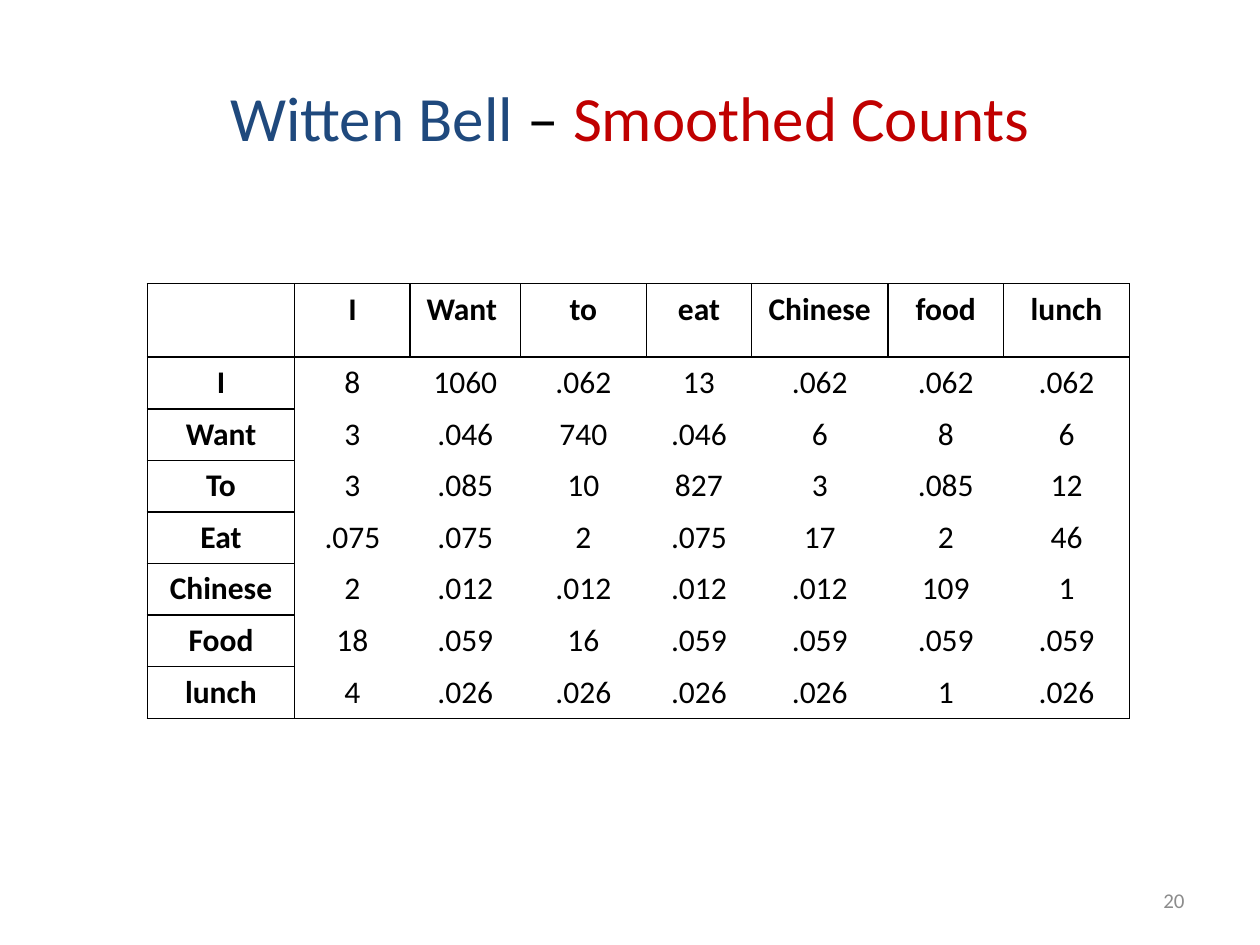
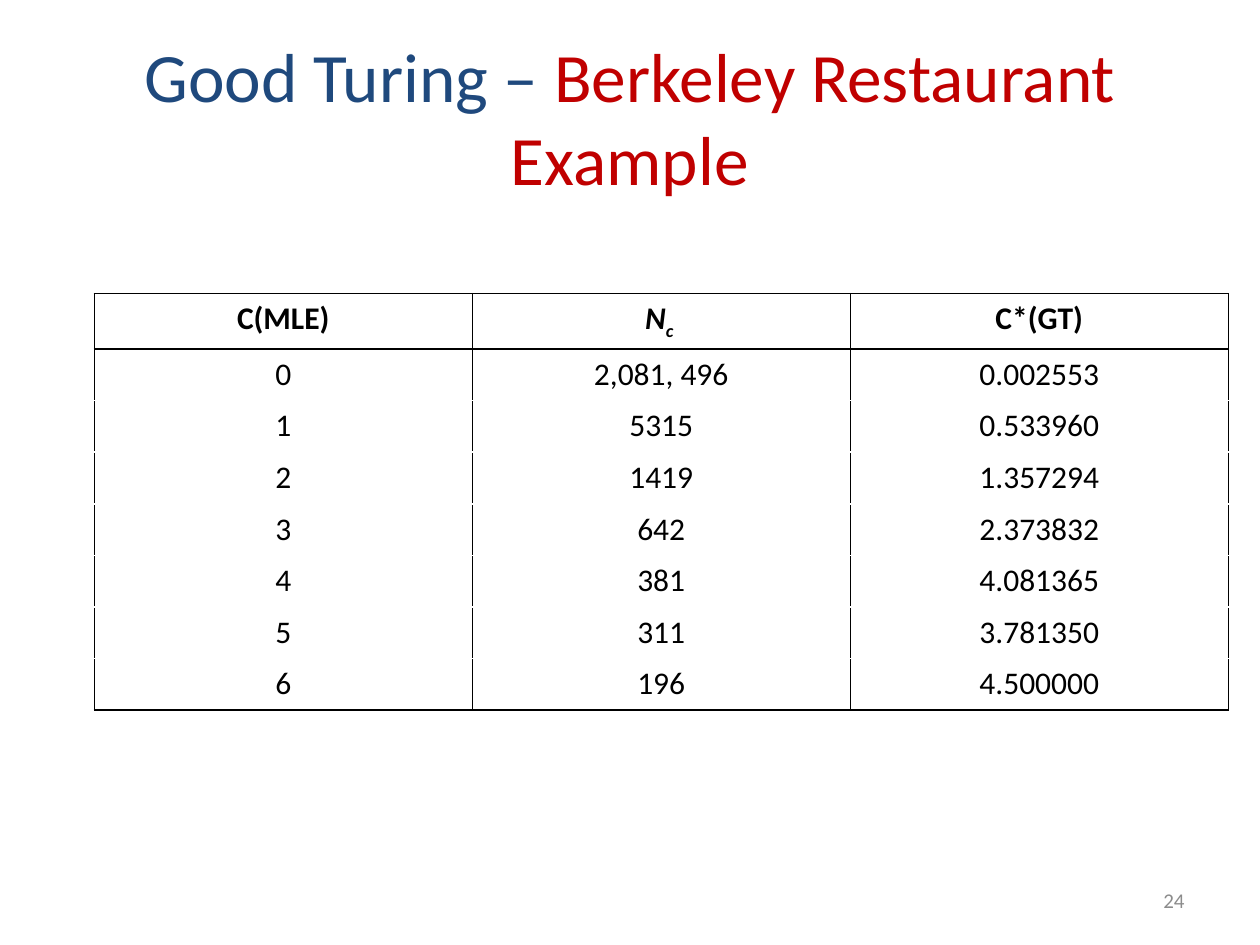
from lxml import etree
from pptx import Presentation
from pptx import util as u
from pptx.dml.color import RGBColor
from pptx.enum import text
from pptx.oxml import ns

BLACK = RGBColor(0x00, 0x00, 0x00)
WHITE = RGBColor(0xFF, 0xFF, 0xFF)
NAVY = RGBColor(0x1F, 0x49, 0x7D)
RED = RGBColor(0xC0, 0x00, 0x00)
GREY = RGBColor(0x8C, 0x8C, 0x8C)
FONT = "Calibri"
ROW_HEIGHT = 1.04

SLIDES = [
    {
        "title": [("Witten Bell ", NAVY), ("– ", BLACK), ("Smoothed Counts", RED)],
        "title_size": 36,
        "number": "20",
        "left": 2.97,
        "top": 5.72,
        "widths": [2.97, 2.33, 2.22, 2.54, 2.12, 2.75, 2.33, 2.54],
        "header_height": 1.48,
        "label_columns": 1,
        "column_lines": None,
        "row_lines": None,
        "rows": [
            ["", "I", "Want ", "to", "eat", "Chinese", "food", "lunch"],
            ["I", "8", "1060", ".062", "13", ".062", ".062", ".062"],
            ["Want", "3", ".046", "740", ".046", "6", "8", "6"],
            ["To", "3", ".085", "10", "827", "3", ".085", "12"],
            ["Eat", ".075", ".075", "2", ".075", "17", "2", "46"],
            ["Chinese", "2", ".012", ".012", ".012", ".012", "109", "1"],
            ["Food", "18", ".059", "16", ".059", ".059", ".059", ".059"],
            ["lunch", "4", ".026", ".026", ".026", ".026", "1", ".026"],
        ],
    },
    {
        "title": [("Good Turing – ", NAVY), ("Berkeley Restaurant Example", RED)],
        "title_size": 39.6,
        "number": "24",
        "left": 1.9,
        "top": 5.92,
        "widths": [7.62] * 3,
        "header_height": ROW_HEIGHT,
        "label_columns": 0,
        "column_lines": BLACK,
        "row_lines": WHITE,
        "rows": [
            ["C(MLE)", ("N", "c "), "C*(GT)"],
            ["0", "2,081, 496", "0.002553"],
            ["1", "5315", "0.533960"],
            ["2", "1419", "1.357294"],
            ["3", "642", "2.373832"],
            ["4", "381", "4.081365"],
            ["5", "311", "3.781350"],
            ["6", "196", "4.500000"],
        ],
    },
]


def place(sp, left, top, width, height):
    sp.left, sp.top, sp.width, sp.height = map(u.Cm, (left, top, width, height))


def style(p, size, color, align, bold=False):
    p.alignment = align
    p.font.name, p.font.size, p.font.bold = FONT, u.Pt(size), bold
    p.font.color.rgb = color


def add_title(s, parts, size):
    sp = s.shapes.title
    place(sp, 1.27, 0.76, 22.86, 3.18)
    tf = sp.text_frame
    tf.word_wrap = True
    tf.auto_size = text.MSO_AUTO_SIZE.NONE
    tf.vertical_anchor = text.MSO_ANCHOR.MIDDLE
    p = tf.paragraphs[0]
    style(p, size, BLACK, text.PP_ALIGN.CENTER)
    for words, color in parts:
        r = p.add_run()
        r.text = words
        r.font.color.rgb = color


def add_number(s, number):
    sp = s.shapes.add_textbox(u.Cm(18.2), u.Cm(17.65), u.Cm(5.93), u.Cm(1.01))
    tf = sp.text_frame
    tf.word_wrap = True
    tf.vertical_anchor = text.MSO_ANCHOR.MIDDLE
    tf.text = number
    style(tf.paragraphs[0], 12, GREY, text.PP_ALIGN.RIGHT)


def set_borders(cell, colors):
    tc_pr = cell._tc.get_or_add_tcPr()
    for side, color in zip("LRTB", colors):
        ln = etree.SubElement(tc_pr, ns.qn("a:ln" + side), w=str(u.Pt(1)))
        if color is None:
            etree.SubElement(ln, ns.qn("a:noFill"))
        else:
            fill = etree.SubElement(ln, ns.qn("a:solidFill"))
            etree.SubElement(fill, ns.qn("a:srgbClr"), val=str(color))


def fill_cell(cell, content, bold):
    p = cell.text_frame.paragraphs[0]
    style(p, 18, BLACK, text.PP_ALIGN.CENTER, bold)
    if isinstance(content, tuple):
        for words in content:
            r = p.add_run()
            r.text = words
            r.font.italic = True
        r.font._element.set("baseline", "-25000")
    elif content:
        p.add_run().text = content


def add_grid(s, data):
    rows, widths, labels = data["rows"], data["widths"], data["label_columns"]
    heights = [data["header_height"]] + [ROW_HEIGHT] * (len(rows) - 1)
    box = map(u.Cm, (data["left"], data["top"], sum(widths), sum(heights)))
    table = s.shapes.add_table(len(rows), len(widths), *box).table
    table.first_row = table.horz_banding = False
    for column, width in zip(table.columns, widths):
        column.width = u.Cm(width)
    for row, height in zip(table.rows, heights):
        row.height = u.Cm(height)
    last_row, last_column = len(rows) - 1, len(widths) - 1
    inner_column, inner_row = data["column_lines"], data["row_lines"]
    for i, row in enumerate(rows):
        for j, content in enumerate(row):
            cell = table.cell(i, j)
            heading = i == 0 or j < labels
            set_borders(cell, (
                BLACK if heading or j == labels else inner_column,
                BLACK if heading or j == last_column else inner_column,
                BLACK if heading or i == 1 else inner_row,
                BLACK if heading or i == last_row else inner_row,
            ))
            cell.fill.background()
            fill_cell(cell, content, heading)


prs = Presentation()
prs.slide_width, prs.slide_height = u.Cm(25.4), u.Cm(19.05)
for data in SLIDES:
    s = prs.slides.add_slide(prs.slide_layouts[5])
    add_title(s, data["title"], data["title_size"])
    add_grid(s, data)
    add_number(s, data["number"])
prs.save("out.pptx")
